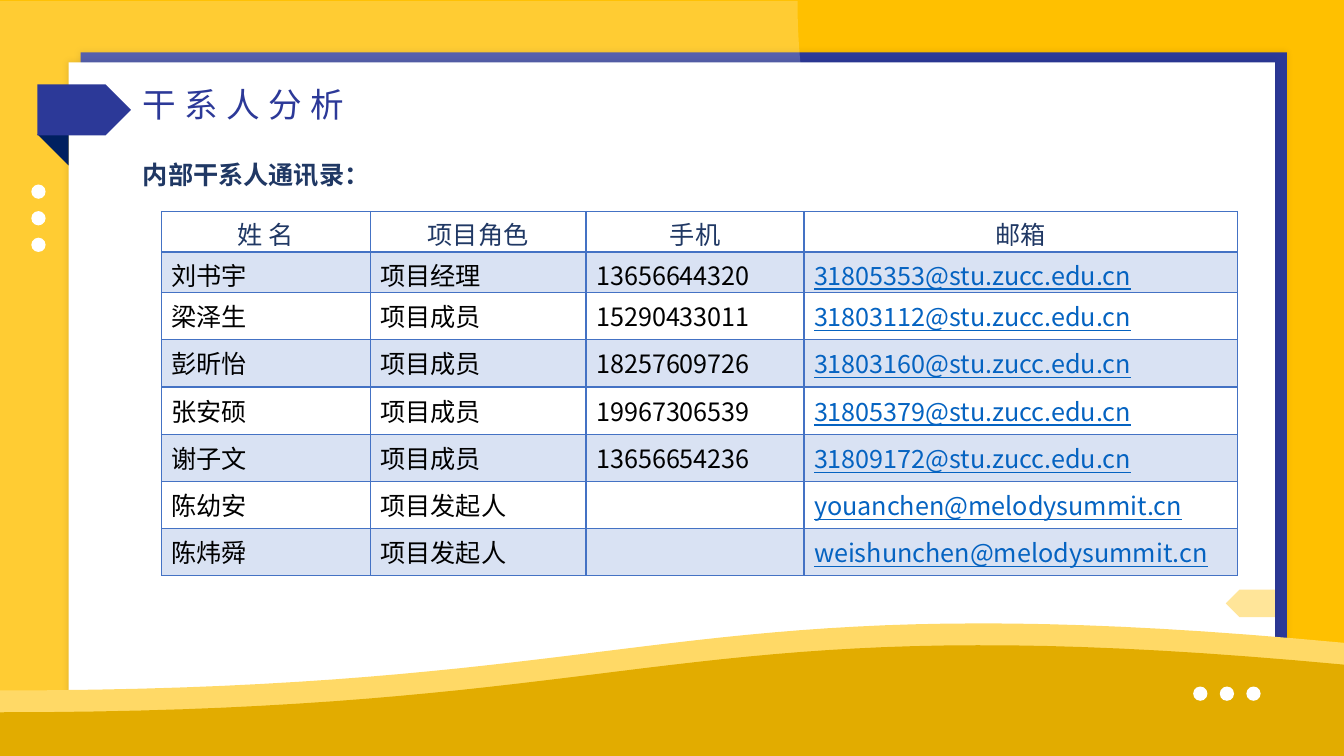
import pptx
import pptx.dml.color
import pptx.enum.shapes
import pptx.enum.text
import pptx.oxml
import pptx.oxml.ns
import pptx.util
from lxml import etree

Cm = pptx.util.Cm
Pt = pptx.util.Pt
qn = pptx.oxml.ns.qn
MSO = pptx.enum.shapes.MSO_SHAPE
ALIGN = pptx.enum.text.PP_ALIGN
WIDTH, HEIGHT = 33.87, 19.05
COLORS = {
    "amber": "FFC000", "navy": "2C3998", "fold": "002060", "white": "FFFFFF",
    "wave_light": "FFD966", "wave_dark": "E2AC00", "heading": "203864",
    "black": "000000", "mail": "0563C1", "grid": "4472C4",
}
HEADERS = ["姓 名", "项目角色", "手机", "邮箱"]
CONTACTS = [
    ["刘书宇", "项目经理", "13656644320", "31805353@stu.zucc.edu.cn"],
    ["梁泽生", "项目成员", "15290433011", "31803112@stu.zucc.edu.cn"],
    ["彭昕怡", "项目成员", "18257609726", "31803160@stu.zucc.edu.cn"],
    ["张安硕", "项目成员", "19967306539", "31805379@stu.zucc.edu.cn"],
    ["谢子文", "项目成员", "13656654236", "31809172@stu.zucc.edu.cn"],
    ["陈幼安", "项目发起人", "", "youanchen@melodysummit.cn"],
    ["陈炜舜", "项目发起人", "", "weishunchen@melodysummit.cn"],
]


def bezier(p0, p1, p2, p3, steps=40):
    """Points along a cubic curve, both ends included."""
    points = []
    for i in range(steps + 1):
        t = i / steps
        weights = ((1 - t) ** 3, 3 * t * (1 - t) ** 2, 3 * t * t * (1 - t), t ** 3)
        points.append(tuple(sum(w * p[axis] for w, p in zip(weights, (p0, p1, p2, p3)))
                            for axis in (0, 1)))
    return points


class Deck:
    font = "Noto Sans CJK SC"

    def __init__(self):
        self.prs = pptx.Presentation()
        self.prs.slide_width, self.prs.slide_height = Cm(WIDTH), Cm(HEIGHT)
        self.s = self.prs.slides.add_slide(self.prs.slide_layouts[6])
        self.paint(self.s.background.fill, "amber")

    def paint(self, fill, color, alpha=100):
        fill.solid()
        fill.fore_color.rgb = pptx.dml.color.RGBColor.from_string(COLORS[color])
        if alpha < 100:
            clr = fill._xPr.find(qn("a:solidFill"))[0]
            etree.SubElement(clr, qn("a:alpha"), val=str(alpha * 1000))

    def finish(self, sp, color, alpha=100):
        """Flat look: fill only, no line and no shadow."""
        self.paint(sp.fill, color, alpha)
        sp.line.fill.background()
        sp.shadow.inherit = False
        return sp

    def shape(self, kind, x, y, w, h, color, alpha=100, rotation=0):
        sp = self.s.shapes.add_shape(kind, Cm(x), Cm(y), Cm(w), Cm(h))
        sp.rotation = rotation
        return self.finish(sp, color, alpha)

    def panel(self, x, y, color):
        sp = self.shape(MSO.RECTANGLE, x, y, 30.4, 15.93, color)
        effects = sp._element.spPr.find(qn("a:effectLst"))
        shadow = etree.SubElement(effects, qn("a:outerShdw"), blurRad=str(Pt(5)),
                                  dist="0", dir="0", algn="ctr", rotWithShape="0")
        clr = etree.SubElement(shadow, qn("a:srgbClr"), val=COLORS["black"])
        etree.SubElement(clr, qn("a:alpha"), val="10000")

    def wave(self, top, color):
        """Band from a curve down to the slide's lower edge; top is its left height."""
        middle = WIDTH / 2
        curve = bezier((0, top), (middle, top), (middle, top - 2.79), (WIDTH, top - 1.2))
        outline = [(Cm(x), Cm(y)) for x, y in curve + [(WIDTH, HEIGHT)]]
        builder = self.s.shapes.build_freeform(0, Cm(HEIGHT))
        builder.add_line_segments(outline, close=True)
        self.finish(builder.convert_to_shape(), color)

    def dots(self, x, y, dx=0, dy=0):
        for i in range(3):
            self.shape(MSO.OVAL, x + i * dx, y + i * dy, 0.36, 0.36, "white")

    def style(self, p, size, color, bold=False, underline=False, spacing=0):
        f = p.font
        f.size, f.name, f.bold = Pt(size), self.font, bold
        f.color.rgb = pptx.dml.color.RGBColor.from_string(COLORS[color])
        if underline:
            f.underline = True
        if spacing:
            f._rPr.set("spc", str(spacing * 100))
        ea = etree.Element(qn("a:ea"), typeface=self.font)
        f._rPr.find(qn("a:latin")).addnext(ea)

    def text(self, text, x, y, w, h, size, color, wrap=True, leading=1, **look):
        tf = self.s.shapes.add_textbox(Cm(x), Cm(y), Cm(w), Cm(h)).text_frame
        tf.word_wrap = wrap
        tf.auto_size = pptx.enum.text.MSO_AUTO_SIZE.SHAPE_TO_FIT_TEXT
        p = tf.paragraphs[0]
        p.text, p.line_spacing = text, leading
        self.style(p, size, color, **look)

    def borders(self, cell, bottom):
        tcPr = cell._tc.get_or_add_tcPr()
        for side, width in (("L", 1), ("R", 1), ("T", 1), ("B", bottom)):
            ln = etree.SubElement(tcPr, qn("a:ln" + side), w=str(Pt(width)))
            fill = etree.SubElement(ln, qn("a:solidFill"))
            etree.SubElement(fill, qn("a:srgbClr"), val=COLORS["grid"])

    def table(self, rows, x, y, widths, heights):
        frame = self.s.shapes.add_table(len(rows), len(widths), Cm(x), Cm(y),
                                        Cm(sum(widths)), Cm(sum(heights)))
        table = frame.table
        table.first_row = table.horz_banding = False
        for column, width in zip(table.columns, widths):
            column.width = Cm(width)
        for i, (row, height) in enumerate(zip(rows, heights)):
            table.rows[i].height = Cm(height)
            for j, text in enumerate(row):
                cell = table.cell(i, j)
                if i < 2:
                    cell.margin_top, cell.margin_bottom = Cm(0.1), 0
                self.borders(cell, bottom=1 if i else 2)
                if i % 2:
                    self.paint(cell.fill, "grid", 20)
                else:
                    cell.fill.background()
                p = cell.text_frame.paragraphs[0]
                p.text = text
                is_mail = i > 0 and j == len(row) - 1
                color = "mail" if is_mail else "black" if i else "heading"
                p.alignment = ALIGN.LEFT if i else ALIGN.CENTER
                self.style(p, 18, color, underline=is_mail)


def main():
    deck = Deck()
    deck.panel(2.03, 1.32, "navy")
    deck.shape(MSO.FLOWCHART_DOCUMENT, 3.02, -3, 19.02, 25.07, "white", 20, rotation=270)
    deck.panel(1.73, 1.57, "white")
    deck.wave(17.4, "wave_light")
    deck.wave(17.95, "wave_dark")
    deck.dots(30.07, 17.3, dx=0.67)
    deck.dots(0.79, 4.65, dy=0.67)
    deck.shape(MSO.RIGHT_TRIANGLE, 0.94, 3.38, 0.79, 0.79, "fold", rotation=180)
    deck.shape(MSO.PENTAGON, 0.94, 2.13, 2.36, 1.28, "navy")
    deck.shape(MSO.PENTAGON, 30.89, 14.86, 1.24, 0.69, "amber", 40, rotation=180)
    deck.text("干系人分析", 3.35, 1.98, 5.87, 1.27, 24, "navy", wrap=False, spacing=6)
    deck.text("内部干系人通讯录：", 3.35, 3.51, 12.88, 1.27, 18, "heading",
              leading=1.5, bold=True)
    deck.table([HEADERS] + CONTACTS, 4.07, 5.33, widths=[5.26, 5.44, 5.49, 10.92],
               heights=[1.02] * 2 + [1.19] * 6)
    deck.prs.save("out.pptx")


if __name__ == "__main__":
    main()
